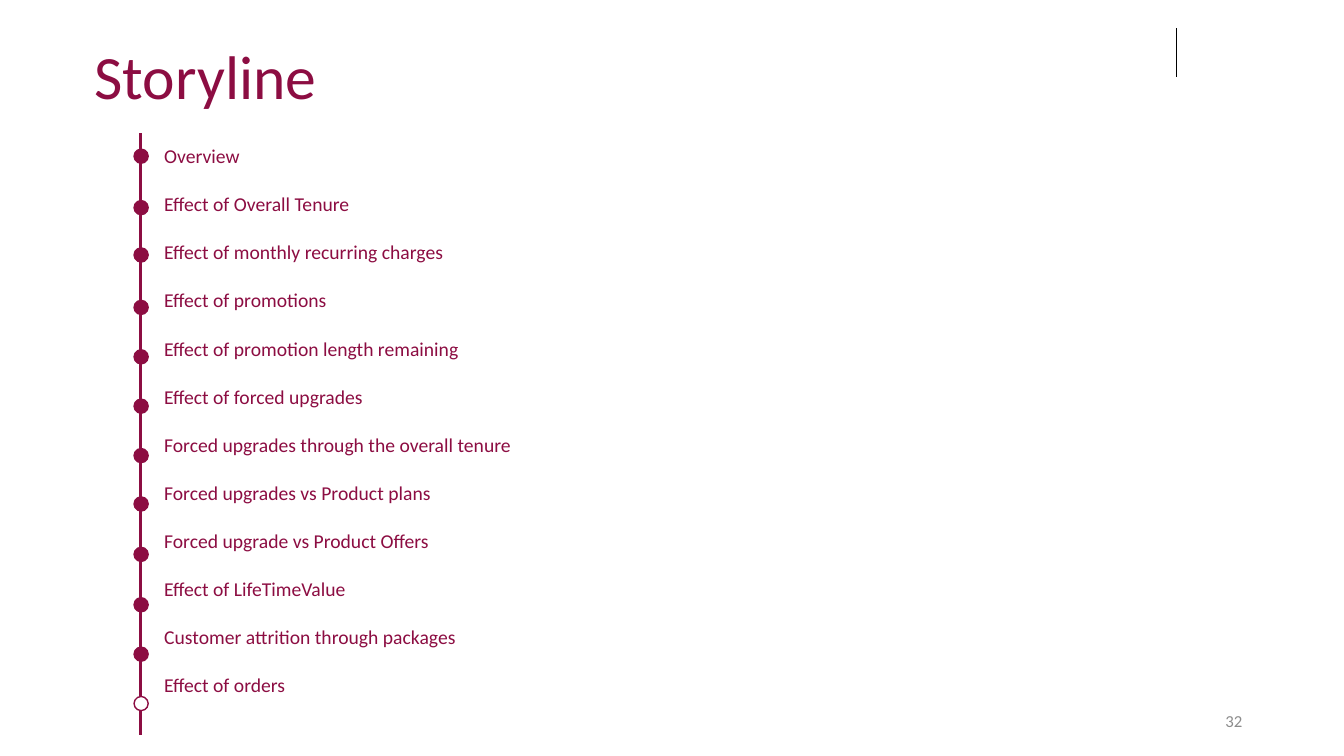
from lxml import etree
from pptx import Presentation
from pptx.dml.color import RGBColor
from pptx.enum.shapes import MSO_CONNECTOR, MSO_SHAPE
from pptx.enum.text import MSO_ANCHOR, PP_ALIGN
from pptx.oxml.ns import qn
from pptx.util import Inches, Pt

COLORS = {"maroon": "8C0D42", "white": "FFFFFF", "black": "000000", "gray": "8C8C8C"}
FONT = "Calibri"

TOPICS = [
    "Overview",
    "Effect of Overall Tenure",
    "Effect of monthly recurring charges",
    "Effect of promotions",
    "Effect of promotion length remaining",
    "Effect of forced upgrades",
    "Forced upgrades through the overall tenure",
    "Forced upgrades vs Product plans",
    "Forced upgrade vs Product Offers",
    "Effect of LifeTimeValue",
    "Customer attrition through packages",
    "Effect of orders",
]
DOT_TOPS = [1.48, 1.99, 2.46, 2.98, 3.47, 3.96, 4.45, 4.93, 5.43, 5.93, 6.42, 6.91]
DOT_SIZE = 0.14

presentation = Presentation()
presentation.slide_width = Inches(13.33)
presentation.slide_height = Inches(7.5)
slide = presentation.slides.add_slide(presentation.slide_layouts[6])


def add_text(lines, left, top, width, height, size, color="maroon", align=PP_ALIGN.LEFT,
             anchor=MSO_ANCHOR.MIDDLE, line_spacing=1.0, space_after=0):
    """Add a text box with one paragraph for each line."""
    box = slide.shapes.add_textbox(Inches(left), Inches(top), Inches(width), Inches(height))
    frame = box.text_frame
    frame.word_wrap = True
    frame.vertical_anchor = anchor
    for index, line in enumerate(lines):
        paragraph = frame.paragraphs[0] if index == 0 else frame.add_paragraph()
        paragraph.alignment = align
        paragraph.line_spacing = line_spacing
        paragraph.space_after = Pt(space_after)
        run = paragraph.add_run()
        run.text = line
        run.font.name = FONT
        run.font.size = Pt(size)
        run.font.color.rgb = RGBColor.from_string(COLORS[color])


def add_vertical_line(x, top, bottom, color, width):
    connector = slide.shapes.add_connector(
        MSO_CONNECTOR.STRAIGHT, Inches(x), Inches(top), Inches(x), Inches(bottom))
    connector.line.color.rgb = RGBColor.from_string(COLORS[color])
    connector.line.width = Pt(width)
    etree.SubElement(connector._element.spPr, qn("a:effectLst"))


add_text(["Storyline"], 0.84, 0.34, 11.5, 0.89, size=44, line_spacing=0.9)

# Timeline: every dot is filled except the last
add_vertical_line(1.39, 1.32, 7.29, "maroon", 2.25)
for top in DOT_TOPS:
    dot = slide.shapes.add_shape(
        MSO_SHAPE.OVAL, Inches(1.33), Inches(top), Inches(DOT_SIZE), Inches(DOT_SIZE))
    dot.shadow.inherit = False
    dot.fill.solid()
    fill = "white" if top == DOT_TOPS[-1] else "maroon"
    dot.fill.fore_color.rgb = RGBColor.from_string(COLORS[fill])
    dot.line.color.rgb = RGBColor.from_string(COLORS["maroon"])
    dot.line.width = Pt(1)

add_text(TOPICS, 1.53, 1.38, 9.83, 6.55, size=14, anchor=MSO_ANCHOR.TOP, space_after=17.55)

add_vertical_line(11.67, 0.28, 0.76, "black", 1)
add_text(["32"], 9.42, 6.95, 3, 0.4, size=12, color="gray", align=PP_ALIGN.RIGHT)

presentation.save("out.pptx")
